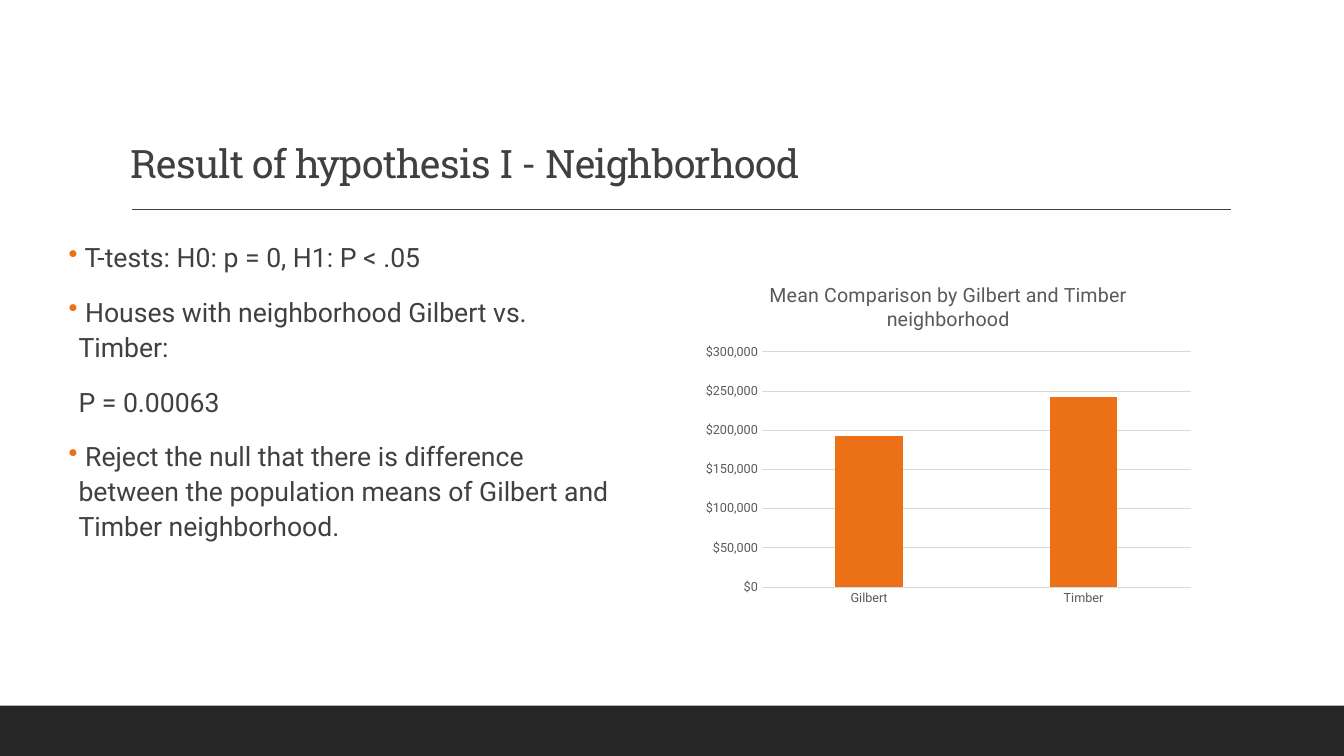
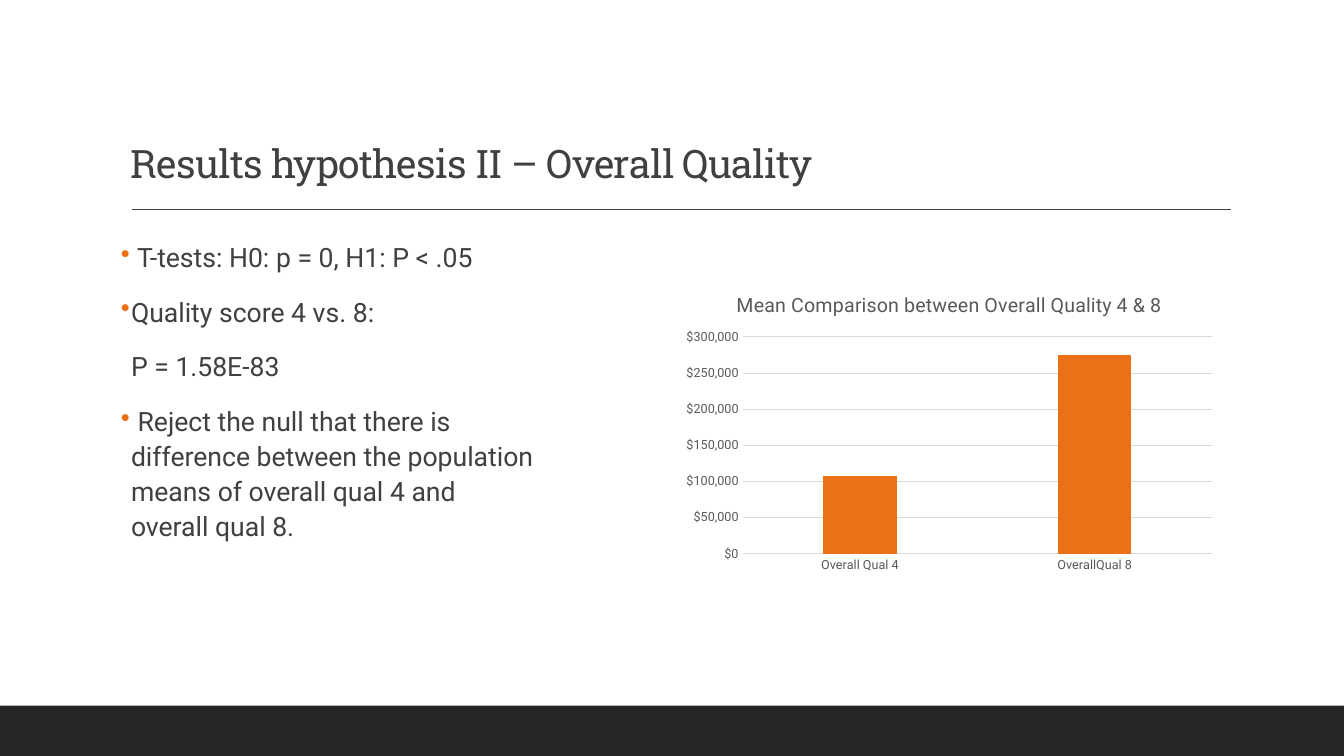
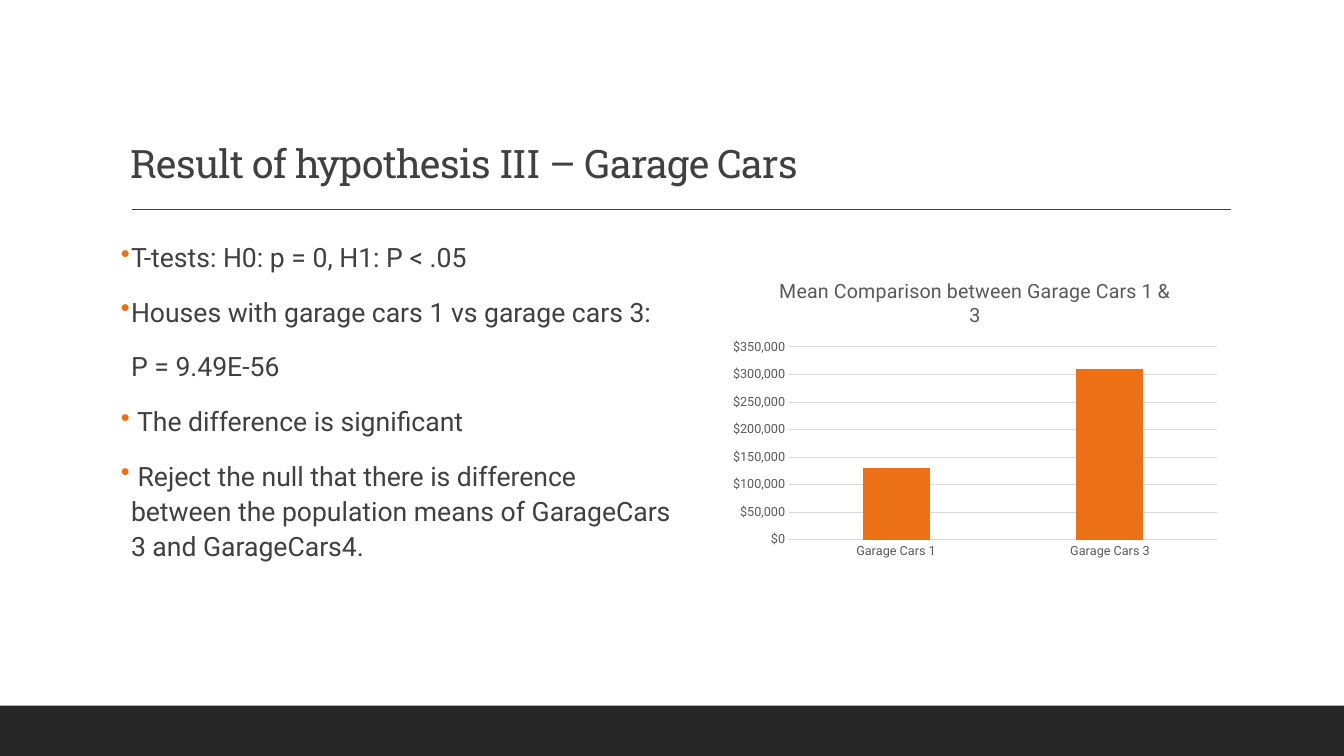
from lxml import etree
from pptx import Presentation
from pptx import util as u
from pptx.chart.data import CategoryChartData
from pptx.dml.color import RGBColor
from pptx.enum import chart as ch, shapes, text
from pptx.oxml.ns import qn

TITLE_FONT, BODY_FONT = "Roboto Slab", "Roboto"
DARK, BAND, ACCENT = "404040", "262626", "EC7016"
CHART_TEXT, GRID = "595959", "D9D9D9"
HANG = u.Inches(0.1)


def rgb(value):
    return RGBColor.from_string(value)


def style_font(font, name, size, color):
    font.name, font.size, font.bold = name, u.Pt(size), False
    font.color.rgb = rgb(color)


def style_line(line, color, width):
    line.color.rgb = rgb(color)
    line.width = u.Pt(width)


def set_bullet(p, char):
    """Hang a coloured bullet, or only indent when char is empty."""
    pPr = p._p.get_or_add_pPr()
    pPr.set("marL", str(HANG))
    pPr.set("indent", str(-HANG if char else 0))
    if char:
        color = etree.SubElement(pPr, qn("a:buClr"))
        etree.SubElement(color, qn("a:srgbClr"), val=ACCENT)
        etree.SubElement(pPr, qn("a:buChar"), char=char)
    else:
        etree.SubElement(pPr, qn("a:buNone"))


class Deck:
    def __init__(self):
        self.prs = Presentation()
        self.prs.slide_width = u.Inches(13.33)
        self.prs.slide_height = u.Inches(7.5)
        self.s = None

    def add_slide(self, title):
        self.s = self.prs.slides.add_slide(self.prs.slide_layouts[6])
        self.band()
        self.rule()
        self.title(title)

    def band(self):
        sp = self.s.shapes.add_shape(shapes.MSO_SHAPE.RECTANGLE, 0, u.Inches(7),
                                     self.prs.slide_width, u.Inches(0.5))
        sp.shadow.inherit = False
        sp.fill.solid()
        sp.fill.fore_color.rgb = rgb(BAND)
        sp.line.fill.background()

    def rule(self):
        x1, x2, y = u.Inches(1.31), u.Inches(12.21), u.Inches(2.08)
        line = self.s.shapes.add_connector(shapes.MSO_CONNECTOR.STRAIGHT, x1, y, x2, y)
        style_line(line.line, DARK, 1)
        etree.SubElement(line._element.spPr, qn("a:effectLst"))

    def text_frame(self, left, top, width, height):
        box = self.s.shapes.add_textbox(*map(u.Inches, (left, top, width, height)))
        tf = box.text_frame
        tf.word_wrap = True
        return tf

    def title(self, words):
        tf = self.text_frame(1.2, 0.31, 11, 1.59)
        tf.vertical_anchor = text.MSO_ANCHOR.BOTTOM
        p = tf.paragraphs[0]
        p.line_spacing = 0.9
        r = p.add_run()
        r.text = words
        style_font(r.font, TITLE_FONT, 28, DARK)
        r.font._element.set("spc", "-50")

    def body(self, left, width, items):
        """Each item is a (bullet, words) pair."""
        tf = self.text_frame(left, 2.31, width, 4.11)
        tf.margin_left = tf.margin_right = 0
        for i, (bullet, words) in enumerate(items):
            p = tf.add_paragraph() if i else tf.paragraphs[0]
            set_bullet(p, bullet)
            p.line_spacing = 1.1
            p.space_before = u.Pt(12 if i else 0)
            p.space_after = u.Pt(2)
            r = p.add_run()
            r.text = words
            style_font(r.font, BODY_FONT, 19, DARK)

    def column_chart(self, place, title, means):
        data = CategoryChartData(number_format='"$"#,##0')
        data.categories = list(means)
        data.add_series("Series 1", list(means.values()))
        chart = self.s.shapes.add_chart(ch.XL_CHART_TYPE.COLUMN_CLUSTERED,
                                        *map(u.Inches, place), data).chart
        style_font(chart.font, BODY_FONT, 10, "000000")
        chart.has_legend = False
        chart.has_title = True
        r = chart.chart_title.text_frame.paragraphs[0].add_run()
        r.text = title
        style_font(r.font, BODY_FONT, 14, CHART_TEXT)
        chart.chart_title.include_in_layout = False

        plot = chart.plots[0]
        plot.gap_width, plot.overlap, plot.vary_by_categories = 219, -27, False
        fill = plot.series[0].format.fill
        fill.solid()
        fill.fore_color.rgb = rgb(ACCENT)

        values, categories = chart.value_axis, chart.category_axis
        for axis in (values, categories):
            axis.major_tick_mark = axis.minor_tick_mark = ch.XL_TICK_MARK.NONE
            style_font(axis.tick_labels.font, BODY_FONT, 9, CHART_TEXT)
        style_line(categories.format.line, GRID, 0.75)
        values.format.line.fill.background()
        style_line(values.major_gridlines.format.line, GRID, 0.75)
        values.tick_labels.number_format = '"$"#,##0'
        values.tick_labels.number_format_is_linked = False


def main():
    deck = Deck()

    deck.add_slide("Result of hypothesis I - Neighborhood")
    deck.body(0.68, 5.47, [
        ("•", " T-tests: H0: p = 0, H1: P < .05"),
        ("•", " Houses with neighborhood Gilbert vs. Timber:"),
        ("", "P = 0.00063"),
        ("•", " Reject the null that there is difference between the population "
              "means of Gilbert and Timber neighborhood."),
    ])
    deck.column_chart((6.9, 2.63, 5.01, 3.45),
                      "Mean Comparison by Gilbert and Timber neighborhood",
                      {"Gilbert": 193000, "Timber": 242000})

    deck.add_slide("Results hypothesis II – Overall Quality")
    deck.body(1.2, 4.14, [
        ("•", " T-tests: H0: p = 0, H1: P < .05"),
        ("•", "Quality score 4 vs. 8:"),
        ("", "P = 1.58E-83"),
        ("•", " Reject the null that there is difference between the population "
              "means of overall qual 4 and overall qual 8."),
    ])
    deck.column_chart((6.7, 2.74, 5.43, 3),
                      "Mean Comparison between Overall Quality 4 & 8",
                      {"Overall Qual 4": 108000, "OverallQual 8": 275000})

    deck.add_slide("Result of hypothesis III – Garage Cars")
    deck.body(1.2, 5.47, [
        ("•", "T-tests: H0: p = 0, H1: P < .05"),
        ("•", "Houses with garage cars 1 vs garage cars 3:"),
        ("", "P = 9.49E-56"),
        ("•", " The difference is significant"),
        ("•", " Reject the null that there is difference between the population "
              "means of GarageCars 3 and GarageCars4."),
    ])
    deck.column_chart((7.17, 2.6, 5, 3),
                      "Mean Comparison between Garage Cars 1 & 3",
                      {"Garage Cars 1": 130000, "Garage Cars 3": 310000})

    deck.prs.save("out.pptx")


if __name__ == "__main__":
    main()
